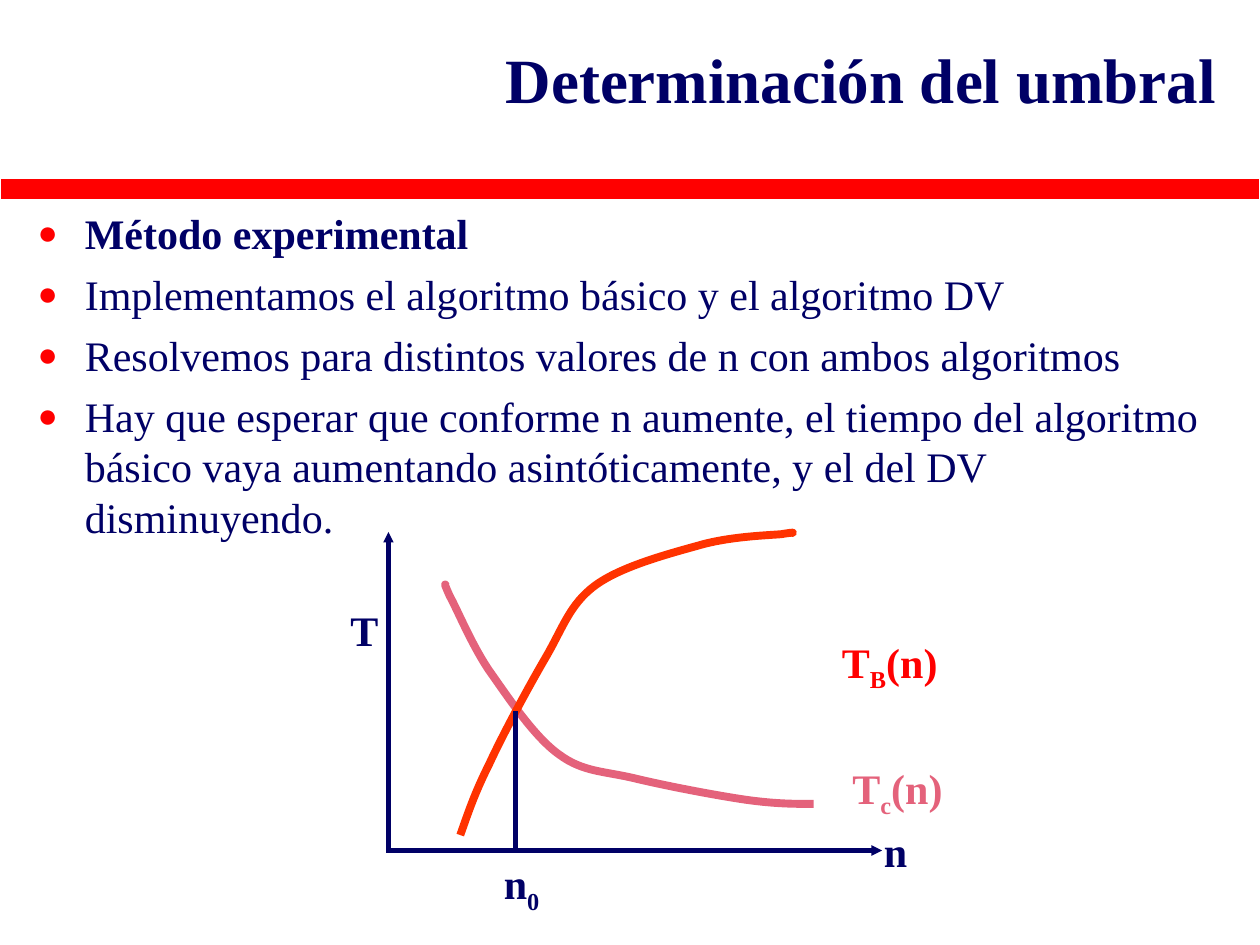
"""Build the slide on finding the threshold by experiment."""
from lxml.etree import SubElement
from pptx import Presentation
from pptx.dml.color import RGBColor
from pptx.enum.shapes import MSO_CONNECTOR, MSO_SHAPE
from pptx.enum.text import MSO_ANCHOR, PP_ALIGN
from pptx.oxml.ns import qn
from pptx.util import Pt

NAVY = RGBColor(0x00, 0x00, 0x66)
RED = RGBColor(0xFF, 0x00, 0x00)
ORANGE = RGBColor(0xFF, 0x33, 0x00)
PINK = RGBColor(0xE4, 0x62, 0x7B)
WHITE = RGBColor(0xFF, 0xFF, 0xFF)


def add_box(left, top, width, height):
    box = slide.shapes.add_textbox(Pt(left), Pt(top), Pt(width), Pt(height))
    box.text_frame.word_wrap = True
    return box.text_frame


def style(font, size, color, bold):
    font.name = "Times New Roman"
    font.size = Pt(size)
    font.color.rgb = color
    font.bold = bold


deck = Presentation()
deck.slide_width, deck.slide_height = Pt(720), Pt(540)
slide = deck.slides.add_slide(deck.slide_layouts[6])

bar = slide.shapes.add_shape(MSO_SHAPE.RECTANGLE, 0, Pt(102), Pt(720), Pt(12))
bar.shadow.inherit = False
bar.fill.solid()
bar.fill.fore_color.rgb = RED
bar.line.color.rgb = WHITE
bar.line.width = Pt(1)

title = add_box(90, 0, 612, 90)
title.vertical_anchor = MSO_ANCHOR.MIDDLE
title.text = "Determinación del umbral"
title.paragraphs[0].alignment = PP_ALIGN.RIGHT
style(title.paragraphs[0].runs[0].font, 36, NAVY, True)

body = add_box(14.4, 115.2, 690, 390)
body.text = "\n".join([
    "Método experimental",
    "Implementamos el algoritmo básico y el algoritmo DV",
    "Resolvemos para distintos valores de n con ambos algoritmos",
    "Hay que esperar que conforme n aumente, el tiempo del algoritmo básico "
    "vaya aumentando asintóticamente, y el del DV disminuyendo.",
])
for i, para in enumerate(body.paragraphs):
    if i:
        para.space_before = Pt(6)
    props = para._p.get_or_add_pPr()
    props.set("marL", str(Pt(27)))
    props.set("indent", str(Pt(-27)))
    tint = SubElement(props, qn("a:buClr"))
    SubElement(tint, qn("a:srgbClr")).set("val", str(RED))
    SubElement(props, qn("a:buSzPct")).set("val", "80000")
    SubElement(props, qn("a:buFont")).set("typeface", "Times New Roman")
    SubElement(props, qn("a:buChar")).set("char", "●")
    style(para.runs[0].font, 24, NAVY, i == 0)

curves = [
    (PINK, [
        (465, 459.4), (454.3, 459.4), (443, 459.4), (426, 457),
        (409, 454.5), (381.6, 449.3), (363.6, 445),
        (345.6, 440.6), (333.4, 441.4), (319.7, 431.3),
        (305.3, 421.2), (290.2, 398.2), (279.4, 383),
        (269.3, 367.9), (261.4, 348.5), (257, 340.6),
        (253.4, 332.6), (254.2, 333.4), (254.9, 334.8)]),
    (ORANGE, [
        (263, 477.2), (267.1, 465.8), (271, 453.6), (279.4, 437),
        (287.3, 419.8), (301.7, 393.1), (311.8, 375.8),
        (321.8, 358.6), (325.4, 345.6), (339.8, 334.8),
        (354.2, 324), (380.9, 316.8), (398.9, 311.8),
        (416.2, 306.7), (437, 306), (446.4, 305.3),
        (455, 303.8), (453.6, 304.6), (452.2, 304.6)]),
]
for color, knots in curves:
    dots = [(Pt(x), Pt(y)) for x, y in knots]
    pen = slide.shapes.build_freeform(*dots[0])
    pen.add_line_segments(dots[1:], close=False)
    curve = pen.convert_to_shape()
    route = curve._element.find(".//" + qn("a:path"))
    legs = route.findall(qn("a:lnTo"))
    for i in range(0, len(legs), 3):
        bend = SubElement(route, qn("a:cubicBezTo"))
        for leg in legs[i:i + 3]:
            bend.append(leg[0])
            route.remove(leg)
    curve.shadow.inherit = False
    curve.fill.background()
    curve.line.color.rgb = color
    curve.line.width = Pt(4.5)
    SubElement(curve.line._get_or_add_ln(), qn("a:round"))

for x1, y1, x2, y2, arrow in [
    (222, 486, 222, 304, True),
    (222, 486, 504, 486, True),
    (294.5, 408, 294.5, 486, False),
]:
    line = slide.shapes.add_connector(
        MSO_CONNECTOR.STRAIGHT, Pt(x1), Pt(y1), Pt(x2), Pt(y2))
    line.line.color.rgb = NAVY
    line.line.width = Pt(3)
    stroke = line.line._get_or_add_ln()
    stroke.set("cap", "sq")
    if arrow:
        head = SubElement(stroke, qn("a:tailEnd"))
        head.set("type", "triangle")
        head.set("w", "sm")
        head.set("len", "sm")
    SubElement(line._element.spPr, qn("a:effectLst"))

for left, top, width, color, parts in [
    (480, 432, 84, PINK, ("T", "c", "(n)")),
    (474, 360, 84, RED, ("T", "B", "(n)")),
    (280.8, 486.7, 42, NAVY, ("n", "0")),
    (193.2, 342, 30, NAVY, ("T",)),
    (498, 468, 60, NAVY, ("n",)),
]:
    para = add_box(left, top, width, 40 if len(parts) > 1 else 36).paragraphs[0]
    for i, part in enumerate(parts):
        run = para.add_run()
        run.text = part
        style(run.font, 24, color, True)
        if i == 1:
            run.font._element.set("baseline", "-25000")

deck.save("out.pptx")
